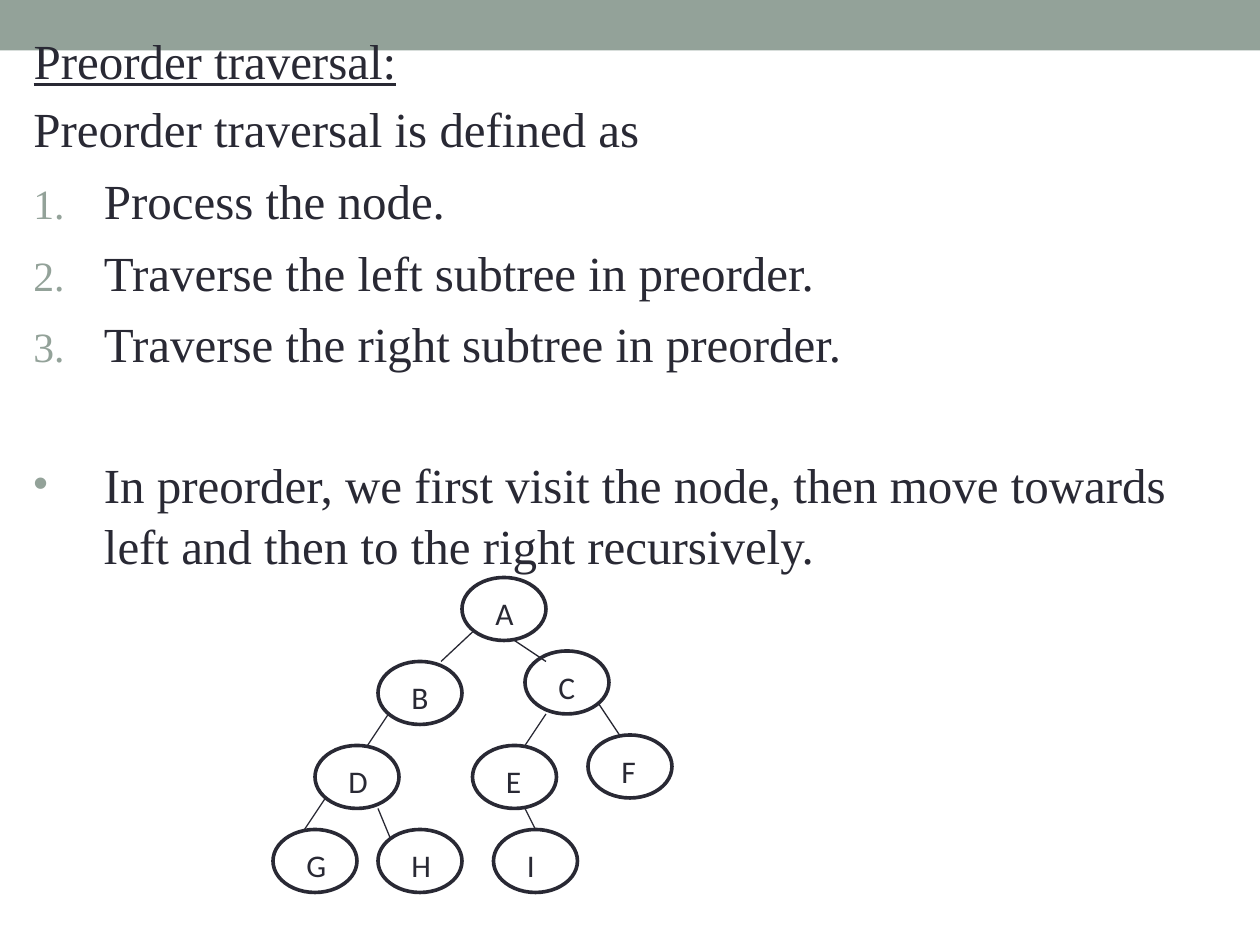
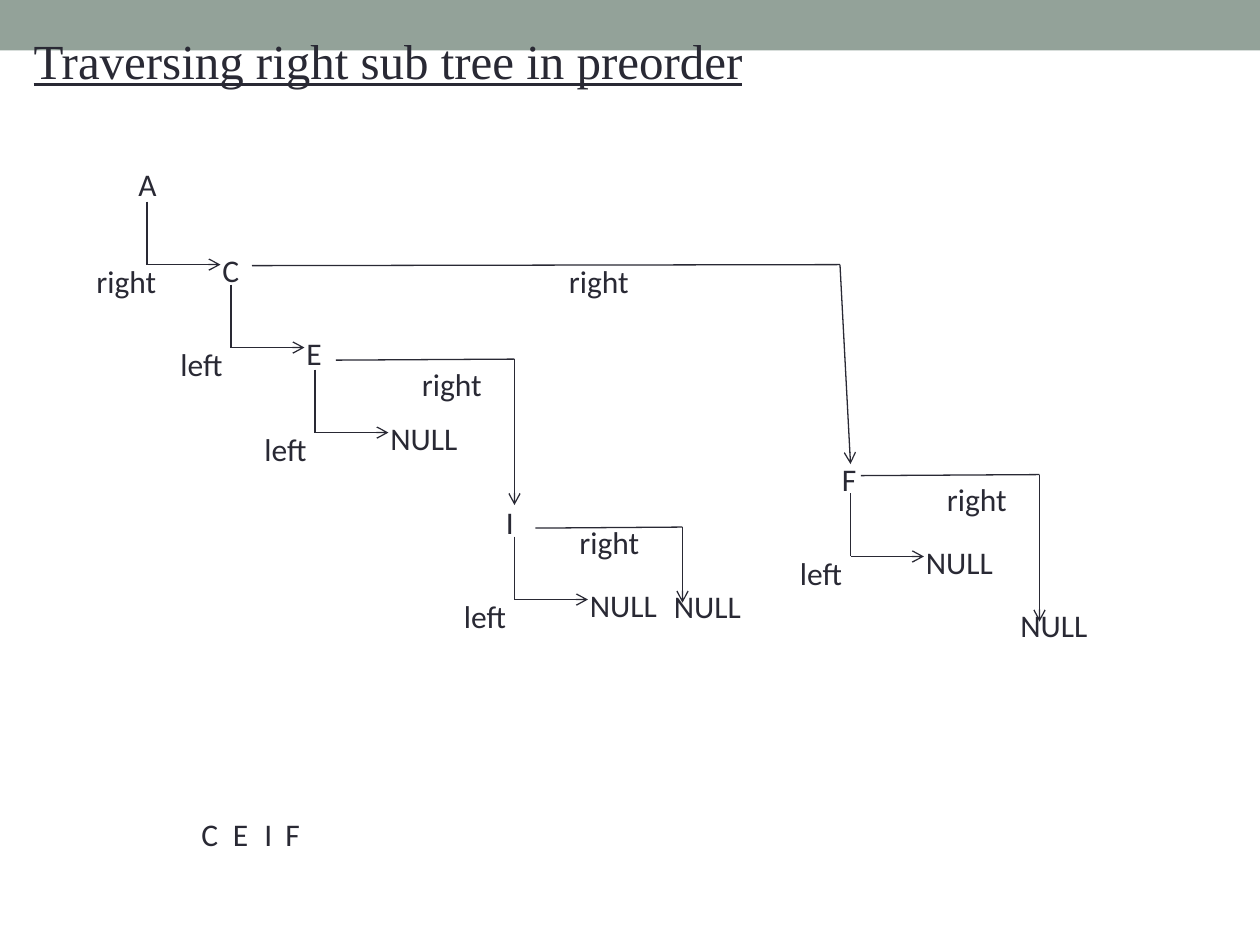
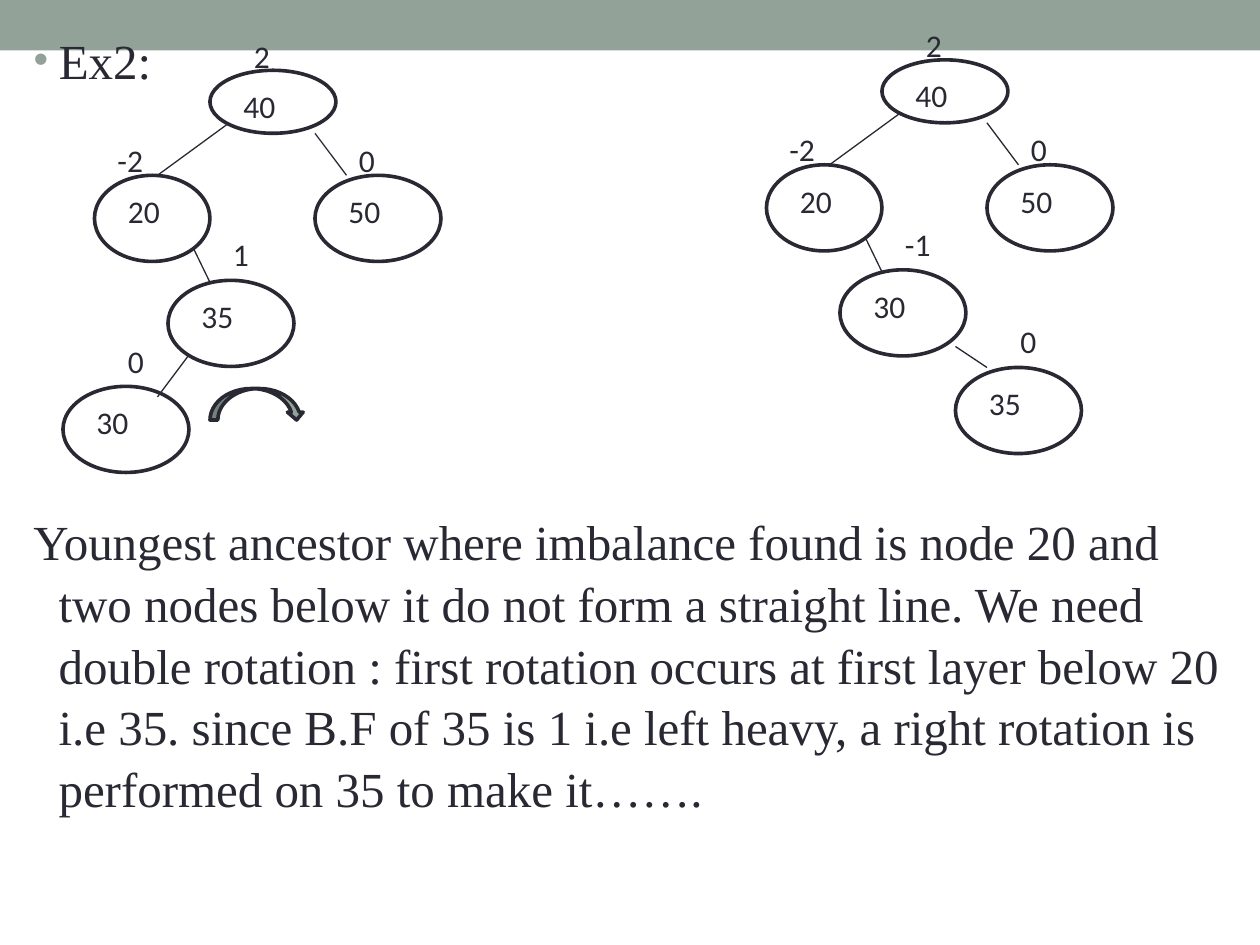
from lxml import etree
from pptx import Presentation
from pptx.dml.color import RGBColor
from pptx.enum.shapes import MSO_CONNECTOR, MSO_SHAPE
from pptx.enum.text import MSO_ANCHOR, MSO_AUTO_SIZE, PP_ALIGN
from pptx.oxml.ns import qn
from pptx.util import Inches, Pt

STRAIGHT = MSO_CONNECTOR.STRAIGHT
RECT = MSO_SHAPE.RECTANGLE
ELLIPSE = MSO_SHAPE.OVAL
CURVED_ARROW = MSO_SHAPE.CURVED_DOWN_ARROW
TOP = MSO_ANCHOR.TOP
LEFT = PP_ALIGN.LEFT
FIXED = MSO_AUTO_SIZE.NONE
GROW = MSO_AUTO_SIZE.SHAPE_TO_FIT_TEXT

INK, SAGE, WHITE = "292934", "93A299", "FFFFFF"
SERIF, SANS = "Times New Roman", "Calibri"
WIDTH, HEIGHT = Inches(10), Inches(7.5)
COLS, ROWS = 120, 90
LABEL_H = 4.8
MARGIN = 2
TEXT_W = 116
LINE_PITCH = 6.55
SPACE = 5.6
HANG, LIST_HANG = 0.2, 0.56


def color(value):
    return RGBColor.from_string(value)


def place(col, row, w, h):
    return (round(WIDTH * col / COLS), round(HEIGHT * row / ROWS),
            round(WIDTH * w / COLS), round(HEIGHT * h / ROWS))


def format_runs(p, font, size, underline=False):
    for r in p.runs:
        r.font.name = font
        r.font.size = Pt(size)
        r.font.underline = underline
        r.font.color.rgb = color(INK)


def set_bullet(p, hang, bullet=None):
    pPr = p._p.get_or_add_pPr()
    pPr.set("marL", str(Inches(hang)))
    pPr.set("indent", str(-Inches(hang)))
    if bullet is None:
        etree.SubElement(pPr, qn("a:buNone"))
        return
    clr = etree.SubElement(pPr, qn("a:buClr"))
    etree.SubElement(clr, qn("a:srgbClr")).set("val", SAGE)
    etree.SubElement(pPr, qn("a:buSzPct")).set("val", "85000")
    if bullet == "1.":
        etree.SubElement(pPr, qn("a:buAutoNum")).set("type", "arabicPeriod")
    else:
        etree.SubElement(pPr, qn("a:buFont")).set("typeface", "Arial")
        etree.SubElement(pPr, qn("a:buChar")).set("char", bullet)


def format_prose(p, text, hang, bullet=None, before=0, underline=False):
    p.text = text
    p.alignment = LEFT
    p.line_spacing = 1.05
    p.space_before = Pt(before)
    set_bullet(p, hang, bullet)
    format_runs(p, SERIF, 28, underline)


def add_shape(s, kind, box, fill, line=None):
    sp = s.shapes.add_shape(kind, *place(*box))
    sp.shadow.inherit = False
    sp.fill.solid()
    sp.fill.fore_color.rgb = color(fill)
    if line:
        sp.line.color.rgb = color(line)
        sp.line.width = Pt(2.08)
    else:
        sp.line.fill.background()
    return sp


def add_label(s, text, col, row, w=5):
    tf = s.shapes.add_textbox(*place(col, row, w, LABEL_H)).text_frame
    tf.word_wrap = True
    tf.auto_size = GROW
    tf.text = text
    format_runs(tf.paragraphs[0], SANS, 18)


def add_line(s, start, end, arrow=False):
    cx = s.shapes.add_connector(STRAIGHT, *place(*start, *end))
    cx.line.color.rgb = color(INK)
    cx.line.width = Pt(0.75)
    spPr = cx._element.spPr
    if arrow:
        etree.SubElement(spPr.find(qn("a:ln")), qn("a:tailEnd")).set("type", "arrow")
    etree.SubElement(spPr, qn("a:effectLst"))


def add_node(s, text, col, row, w, h, label_w):
    add_shape(s, ELLIPSE, (col, row, w, h), WHITE, INK)
    add_label(s, text, col + 2, row + 1, label_w)


def add_band(s, layout):
    band = add_shape(s, RECT, (0, 0, COLS, 4.8), SAGE)
    band._element.nvSpPr.cNvPr.set("id", "20")
    layout.shapes._spTree.insert(2, band._element)


def add_title(s, text, bullet=None, underline=True):
    sp = s.shapes.title
    sp.left, sp.top, sp.width, sp.height = place(MARGIN, MARGIN, TEXT_W, LINE_PITCH)
    tf = sp.text_frame
    tf.word_wrap = True
    tf.auto_size = FIXED
    tf.vertical_anchor = TOP
    format_prose(tf.paragraphs[0], text, HANG, bullet, underline=underline)


def add_body(s, box, items):
    tf = s.shapes.add_textbox(*place(*box)).text_frame
    tf.word_wrap = True
    for i, (text, hang, bullet, before) in enumerate(items):
        p = tf.add_paragraph() if i else tf.paragraphs[0]
        format_prose(p, text, hang, bullet, before)


def draw_letter_tree(s, left, top):
    nodes = [("A", 18, 0), ("B", 10, 8), ("C", 24, 7), ("D", 4, 16), ("E", 19, 16),
             ("F", 30, 15), ("G", 0, 24), ("H", 10, 24), ("I", 21, 24)]
    edges = [((19.1, 5.1), (16, 8)), ((23, 6), (26, 8)), ((11, 13), (9, 16)),
             ((26, 13), (24, 16)), ((31, 12), (33, 15)), ((5, 21), (3, 24)),
             ((10, 22), (11.2, 24.9)), ((24, 22), (25, 24))]
    for letter, col, row in nodes:
        add_node(s, letter, left + col, top + row, 8, 6, 5)
    draw_edges(s, left, top, edges)


def draw_edges(s, left, top, edges):
    for (x1, y1), (x2, y2) in edges:
        add_line(s, (left + x1, top + y1), (left + x2, top + y2))


def draw_step(s, col, row, side, target):
    corner = (col, row + 6)
    add_line(s, (col, row), corner)
    add_line(s, corner, (col + 7, row + 6), arrow=True)
    add_label(s, side, col - 6, row + 5.2, 10)
    add_label(s, target, col + 6, row + 4.1, 9)


def draw_trace(s, left, top):
    steps = [(6, 4.2, "right", "C"), (14, 12.1, "left", "E"), (22, 20.2, "left", "NULL"),
             (41, 36.1, "left", "NULL"), (73, 32, "left", "NULL")]
    branches = [((16, 10.3), (72, 10.2), (73, 29.2), (45, 9.4), (71, 28.2), "F"),
                ((24, 19.3), (41, 19.2), (41, 33.1), (31, 19.2), (39, 32.3), "I"),
                ((43, 35.3), (57, 35.2), (57, 42.4), (46, 34.2), (55, 40.3), "NULL"),
                ((74, 30.3), (91, 30.2), (91, 44.2), (81, 30.1), (88, 42.1), "NULL")]
    add_label(s, "A", left + 4, top + 0.1)
    for col, row, side, target in steps:
        draw_step(s, left + col, top + row, side, target)
    for *points, target in branches:
        start, corner, end, side_at, target_at = [(left + x, top + y) for x, y in points]
        add_line(s, start, corner)
        add_line(s, corner, end, arrow=True)
        add_label(s, "right", *side_at, 10)
        add_label(s, target, *target_at, 9)


def draw_visit_order(s, left, top):
    for letter, col in zip("CEIF", (0, 3, 6, 8)):
        add_label(s, letter, left + col, top)


def draw_balance_tree(s, left, top, lower_nodes, lower_edge):
    nodes = [("20", 3, 13.8, 11, 8.2, "-2", 4, 9.9),
             ("40", 14, 3.8, 12, 6, "2", 17, 0),
             ("50", 24, 13.8, 12, 8.2, "0", 27, 9.9)] + lower_nodes
    edges = [((9, 13.8), (15.7, 8.9)), ((24, 9.8), (27, 13.8)),
             ((14, 24), (12.4, 20.7)), lower_edge]
    for key, col, row, w, h, balance, balance_col, balance_row in nodes:
        add_node(s, key, left + col, top + row, w, h, 8)
        add_label(s, balance, left + balance_col, top + balance_row)
    draw_edges(s, left, top, edges)


def build_preorder(s):
    add_title(s, "Preorder traversal:")
    add_body(s, (MARGIN, MARGIN + LINE_PITCH, TEXT_W, 46), [
        ("Preorder traversal is defined as", HANG, None, 0),
        ("Process the node.", LIST_HANG, "1.", SPACE),
        ("Traverse the left subtree in preorder.", LIST_HANG, "1.", SPACE),
        ("Traverse the right subtree in preorder.", LIST_HANG, "1.", SPACE),
        ("In preorder, we first visit the node, then move towards left and then "
         "to the right recursively.", LIST_HANG, "•", 45)])
    draw_letter_tree(s, 26, 55)


def build_right_subtree(s):
    add_title(s, "Traversing right sub tree in preorder")
    draw_trace(s, 8, 15)
    draw_visit_order(s, 18, 77)


def build_rotation(s):
    add_title(s, "Ex2:", "•", underline=False)
    add_body(s, (MARGIN, MARGIN + 7 * LINE_PITCH, TEXT_W, 30), [
        ("Youngest ancestor where imbalance found is node 20 and two nodes below it "
         "do not form a straight line. We need double rotation : first rotation occurs "
         "at first layer below 20 i.e 35. since B.F of 35 is 1 i.e left heavy, a right "
         "rotation is performed on 35 to make it…….", HANG, None, 0)])
    draw_balance_tree(s, 6, 2.9,
                      [("35", 10, 23.8, 12, 8.2, "1", 15, 18.9),
                       ("30", 0, 33.9, 12, 8.2, "0", 5, 29.1)],
                      ((9, 34.9), (12, 30.9)))
    draw_balance_tree(s, 70, 1.9,
                      [("30", 10, 23.8, 12, 8.2, "-1", 15, 18.9),
                       ("35", 21, 33.1, 12, 8.2, "0", 26, 28.2)],
                      ((24, 33.1), (21, 31.1)))
    add_shape(s, CURVED_ARROW, (20, 37, 9, 3), SAGE, INK)


def main():
    prs = Presentation()
    prs.slide_width, prs.slide_height = WIDTH, HEIGHT
    layout = prs.slide_layouts[5]
    for i, build in enumerate((build_preorder, build_right_subtree, build_rotation)):
        s = prs.slides.add_slide(layout)
        if i == 0:
            add_band(s, layout)
        build(s)
    prs.save("out.pptx")


if __name__ == "__main__":
    main()
